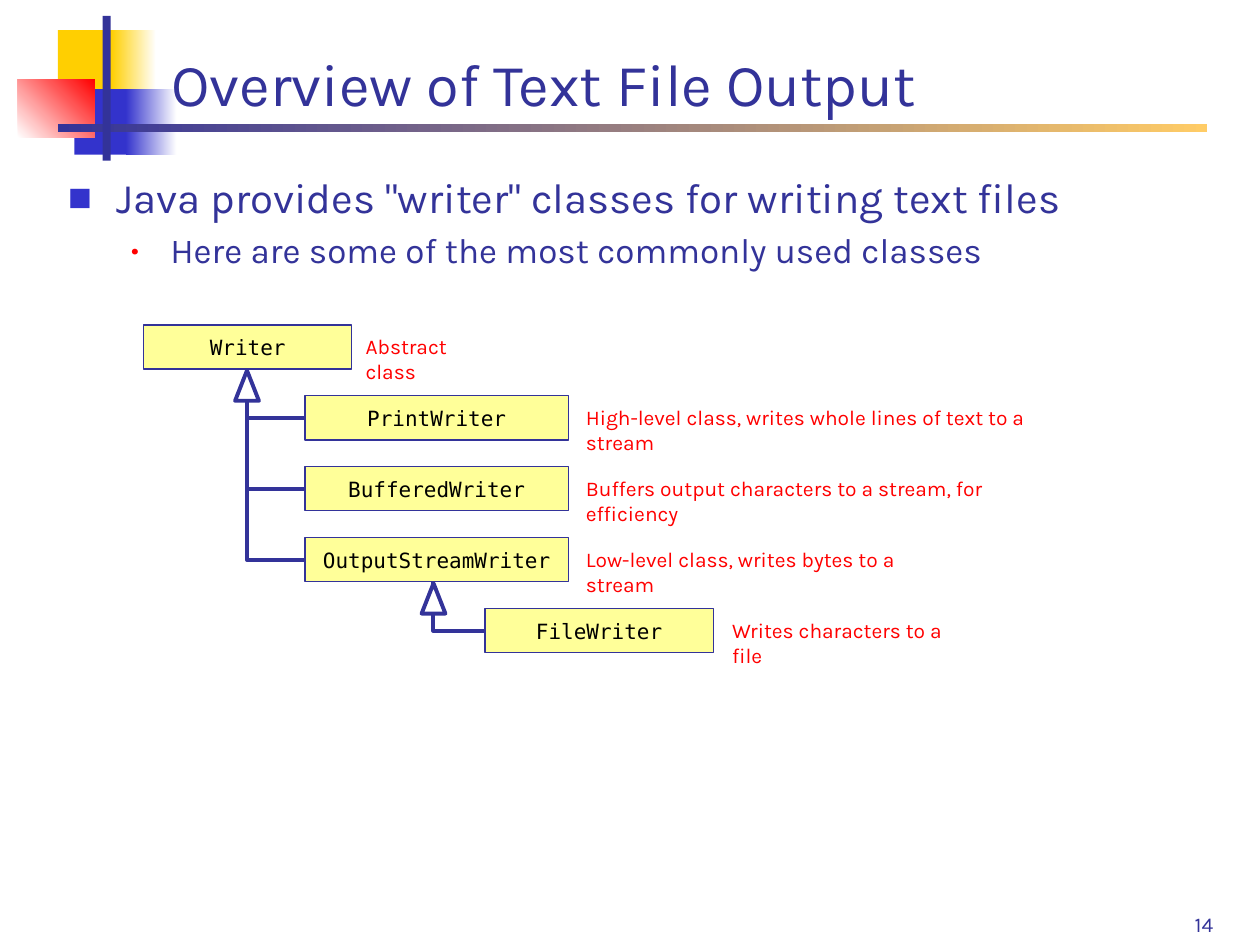
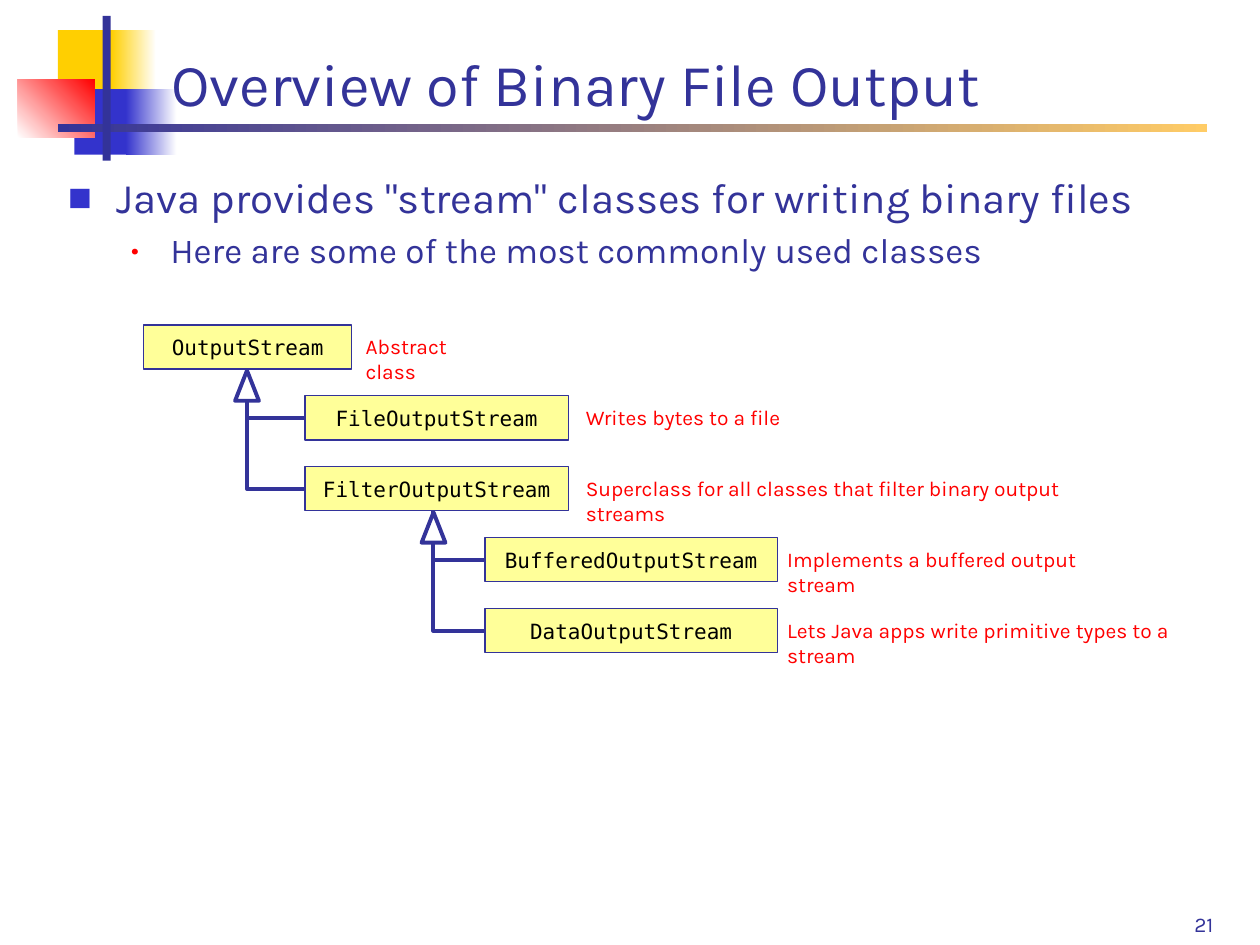
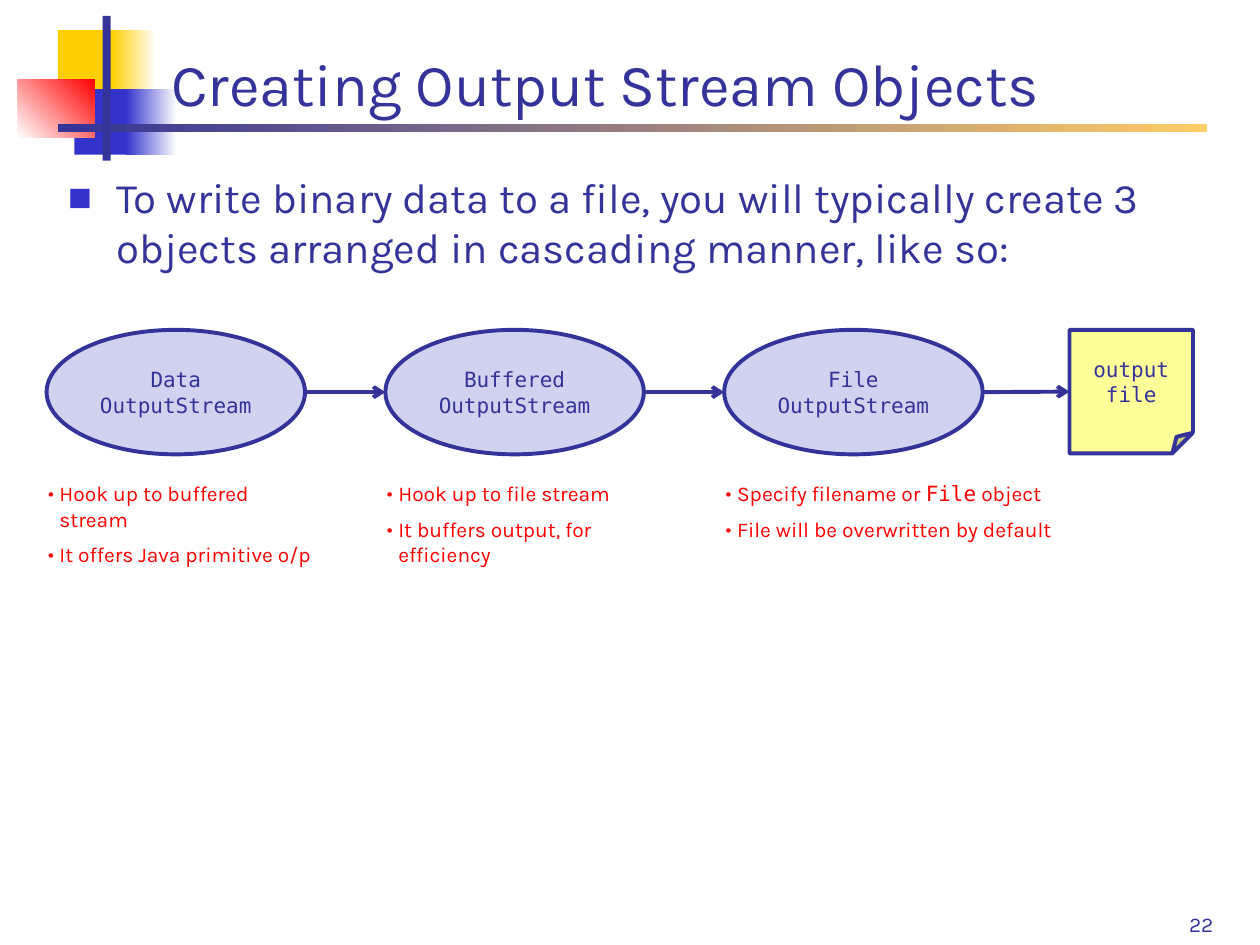
from dataclasses import dataclass

from lxml import etree
from pptx import Presentation
from pptx import util as u
from pptx.dml import color
from pptx.enum import shapes, text
from pptx.oxml import ns

COLORS = {
    "navy": "333399", "blue": "3333CC", "yellow": "FFCF01", "red": "FF0000",
    "gold": "FFCC66", "cream": "FFFF99", "lilac": "D1D1F0", "white": "FFFFFF",
    "black": "000000",
}
FACE = "Karla"
CODE = "DejaVu Sans Mono"

BACKDROP = [
    ((1.17, 0.61, 1.22, 1.32), ["yellow"], 0),
    ((2.24, 0.61, 0.91, 1.32), ["yellow", "white"], 0),
    ((1.5, 1.8, 1.17, 1.32), ["blue"], 0),
    ((2.54, 1.8, 1.02, 1.32), ["blue", "white"], 0),
    ((0.36, 1.6, 1.55, 1.17), ["white", "red"], 45),
    ((1.17, 2.51, 23.16, 0.15), ["navy", "gold"], 0),
    ((2.07, 0.32, 0.16, 2.92), ["navy"], 0),
]
TITLE_BOX = (3.2, 0.58, 21.64, 1.93)
BODY_BOX = (1.12, 3.33, 23.57, 13.72)
NUMBER_BOX = (16.66, 17.73, 8.05, 1.27)

TREE_ORIGIN = (2.9, 6.55)
GENERATION_LEFT = [0, 3.25, 6.88]
TRUNK_LEFT = [2.08, 5.84]
ROW_PITCH = 1.43
CLASS_HEIGHT = 0.89
BRANCH_WIDTH = 3.76
BRANCH_DROP = 1.55

CASCADE_ORIGIN = (0.94, 6.65)
STAGE_WIDTH, STAGE_HEIGHT, STAGE_PITCH = 5.21, 2.51, 6.83


@dataclass
class ClassRow:
    name: str
    generation: int
    width: float
    remark: str
    remark_width: float
    gap: float = 0.1


WRITERS = [
    ClassRow("Writer", 0, 4.19, "Abstract class", 3.07, 0.03),
    ClassRow("PrintWriter", 1, 5.31,
             "High-level class, writes whole lines of text to a stream", 10.72),
    ClassRow("BufferedWriter", 1, 5.31,
             "Buffers output characters to a stream, for efficiency", 10.29),
    ClassRow("OutputStreamWriter", 1, 5.31,
             "Low-level class, writes bytes to a stream", 8.15),
    ClassRow("FileWriter", 2, 4.6, "Writes characters to a file", 5.33, 0.13),
]
STREAMS = [
    ClassRow("OutputStream", 0, 4.19, "Abstract class", 3.07, 0.03),
    ClassRow("FileOutputStream", 1, 5.31, "Writes bytes to a file", 4.55),
    ClassRow("FilterOutputStream", 1, 5.31,
             "Superclass for all classes that filter binary output streams", 11.33),
    ClassRow("BufferedOutputStream", 2, 5.89,
             "Implements a buffered output stream", 7.65, -0.05),
    ClassRow("DataOutputStream", 2, 5.89,
             "Lets Java apps write primitive types to a stream", 9.53, -0.05),
]
STAGES = [
    ("Data", 5.99, [[("Hook up to buffered stream", FACE)],
                    [("It offers Java primitive o/p", FACE)]]),
    ("Buffered", 6.55, [[("Hook up to file stream", FACE)],
                        [("It buffers output, for efficiency", FACE)]]),
    ("File", 7.29, [[("Specify filename or ", FACE), ("File", CODE), (" object", FACE)],
                    [("File will be overwritten by default", FACE)]]),
]
COMMON_CLASSES = "Here are some of the most commonly used classes"


def rgb(name):
    return color.RGBColor.from_string(COLORS[name])


def lengths(box):
    return [u.Cm(value) for value in box]


def add_span(para, words, size=12, ink="red", face=FACE):
    span = para.add_run()
    span.text = words
    span.font.size = u.Pt(size)
    span.font.name = face
    span.font.color.rgb = rgb(ink)


def add_bullet(para, mark, left, hang, ink, percent=100):
    props = para._p.get_or_add_pPr()
    props.set("marL", str(u.Cm(left)))
    props.set("indent", str(-u.Cm(hang)))
    tint = etree.SubElement(props, ns.qn("a:buClr"))
    etree.SubElement(tint, ns.qn("a:srgbClr"), val=COLORS[ink])
    etree.SubElement(props, ns.qn("a:buSzPct"), val=str(percent * 1000))
    etree.SubElement(props, ns.qn("a:buFont"), typeface=FACE)
    etree.SubElement(props, ns.qn("a:buChar"), char=mark)


def add_block(page, kind, box, fill, border=None):
    block = page.shapes.add_shape(kind, *lengths(box))
    block.shadow.inherit = False
    block.fill.solid()
    block.fill.fore_color.rgb = rgb(fill)
    if border:
        block.line.color.rgb = rgb("navy")
        block.line.width = u.Pt(border)
    else:
        block.line.fill.background()
    return block


def add_code(block, lines, ink):
    frame = block.text_frame
    frame.word_wrap = True
    frame.margin_left = frame.margin_right = 0
    frame.vertical_anchor = text.MSO_ANCHOR.MIDDLE
    para = frame.paragraphs[0]
    para.alignment = text.PP_ALIGN.CENTER
    for index, line in enumerate(lines):
        if index:
            para.add_line_break()
        add_span(para, line, ink=ink, face=CODE)


def add_text_box(page, box):
    frame = page.shapes.add_textbox(*lengths(box)).text_frame
    frame.word_wrap = True
    return frame


def add_link(page, kind, start, end):
    link = page.shapes.add_connector(kind, *lengths(start + end))
    link.line.color.rgb = rgb("navy")
    link.line.width = u.Pt(2.25)
    etree.SubElement(link.element.spPr, ns.qn("a:effectLst"))
    return link


def add_backdrop(master, page):
    for index, (box, inks, angle) in enumerate(BACKDROP):
        block = add_block(page, shapes.MSO_SHAPE.RECTANGLE, box, inks[0])
        if len(inks) == 2:
            block.fill.gradient()
            block.fill.gradient_angle = angle
            for stop, ink in zip(block.fill.gradient_stops, inks):
                stop.color.rgb = rgb(ink)
        block.element.nvSpPr.cNvPr.set("id", str(101 + index))
        master.shapes.element.insert(2 + index, block.element)


def place(holder, box, anchor):
    holder.left, holder.top, holder.width, holder.height = lengths(box)
    frame = holder.text_frame
    frame.auto_size = text.MSO_AUTO_SIZE.NONE
    frame.vertical_anchor = anchor
    return frame


def add_page(deck, heading, points, number):
    page = deck.slides.add_slide(deck.slide_layouts[1])
    title = place(page.shapes.title, TITLE_BOX, text.MSO_ANCHOR.BOTTOM).paragraphs[0]
    title.alignment = text.PP_ALIGN.LEFT
    add_span(title, heading, 34, "navy")

    body = place(page.placeholders[1], BODY_BOX, text.MSO_ANCHOR.TOP)
    main = body.paragraphs[0]
    main.space_before = u.Pt(0)
    add_bullet(main, "■", 0.97, 0.97, "blue", 60)
    add_span(main, points[0], 24, "navy")
    for point in points[1:]:
        para = body.add_paragraph()
        para.level = 1
        para.space_before = u.Pt(4)
        add_bullet(para, "•", 2.06, 0.79, "red", 80)
        add_span(para, point, 20, "navy")

    frame = add_text_box(page, NUMBER_BOX)
    frame.vertical_anchor = text.MSO_ANCHOR.BOTTOM
    frame.paragraphs[0].alignment = text.PP_ALIGN.RIGHT
    add_span(frame.paragraphs[0], number, 12, "navy")
    return page


def add_class_tree(page, origin, rows):
    left, top = origin
    tops = [top + index * ROW_PITCH for index in range(len(rows))]

    for row, row_top in zip(rows, tops):
        if row.generation:
            trunk = left + TRUNK_LEFT[row.generation - 1]
            middle = row_top + CLASS_HEIGHT / 2
            branch = add_link(page, shapes.MSO_CONNECTOR.ELBOW,
                              (trunk, middle - BRANCH_DROP),
                              (trunk + BRANCH_WIDTH, middle))
            guides = branch.element.spPr.prstGeom.get_or_add_avLst()
            etree.SubElement(guides, ns.qn("a:gd"), name="adj1", fmla="val -100")

    for index, (row, row_top) in enumerate(zip(rows, tops)):
        row_left = left + GENERATION_LEFT[row.generation]
        block = add_block(page, shapes.MSO_SHAPE.RECTANGLE,
                          (row_left, row_top, row.width, CLASS_HEIGHT), "cream", 0.75)
        add_code(block, [row.name], "black")
        remark = add_text_box(page, (row_left + row.width + row.gap, row_top + 0.05,
                                     row.remark_width, 0.76))
        add_span(remark.paragraphs[0], row.remark)
        if index + 1 < len(rows) and rows[index + 1].generation > row.generation:
            add_block(page, shapes.MSO_SHAPE.ISOSCELES_TRIANGLE,
                      (left + TRUNK_LEFT[row.generation] - 0.24,
                       row_top + CLASS_HEIGHT + 0.03, 0.48, 0.61), "white", 2.25)


def add_cascade(page, origin, stages):
    left, top = origin
    middle = top + STAGE_HEIGHT / 2
    note = add_block(page, shapes.MSO_SHAPE.FOLDED_CORNER,
                     (left + 20.62, top, 2.49, 2.49), "cream", 2.25)
    add_code(note, ["output file"], "navy")

    for index, (name, list_width, points) in enumerate(stages):
        stage_left = left + index * STAGE_PITCH
        arrow = add_link(page, shapes.MSO_CONNECTOR.STRAIGHT,
                         (stage_left + STAGE_WIDTH, middle),
                         (stage_left + STAGE_PITCH, middle))
        if index == len(stages) - 1:
            arrow.end_connect(note, 1)
        outline = arrow.element.spPr.find(ns.qn("a:ln"))
        etree.SubElement(outline, ns.qn("a:tailEnd"), type="arrow")

        stage = add_block(page, shapes.MSO_SHAPE.OVAL,
                          (stage_left, top, STAGE_WIDTH, STAGE_HEIGHT), "lilac", 2.25)
        add_code(stage, [name, "OutputStream"], "navy")

        frame = add_text_box(page, (stage_left - 0.22, top + 2.92, list_width, 1.5))
        for order, spans in enumerate(points):
            para = frame.add_paragraph() if order else frame.paragraphs[0]
            para.space_before = u.Pt(6 if order else 0)
            add_bullet(para, "•", 0.23, 0.23, "red")
            for words, face in spans:
                add_span(para, words, face=face)


def main():
    deck = Presentation()
    deck.slide_width, deck.slide_height = u.Cm(25.4), u.Cm(19.05)

    page = add_page(deck, "Overview of Text File Output",
                    ['Java provides "writer" classes for writing text files',
                     COMMON_CLASSES], "14")
    add_backdrop(deck.slide_master, page)
    add_class_tree(page, TREE_ORIGIN, WRITERS)

    page = add_page(deck, "Overview of Binary File Output",
                    ['Java provides "stream" classes for writing binary files',
                     COMMON_CLASSES], "21")
    add_class_tree(page, TREE_ORIGIN, STREAMS)

    page = add_page(deck, "Creating Output Stream Objects",
                    ["To write binary data to a file, you will typically create 3 "
                     "objects arranged in cascading manner, like so:"], "22")
    add_cascade(page, CASCADE_ORIGIN, STAGES)

    deck.save("out.pptx")


if __name__ == "__main__":
    main()
